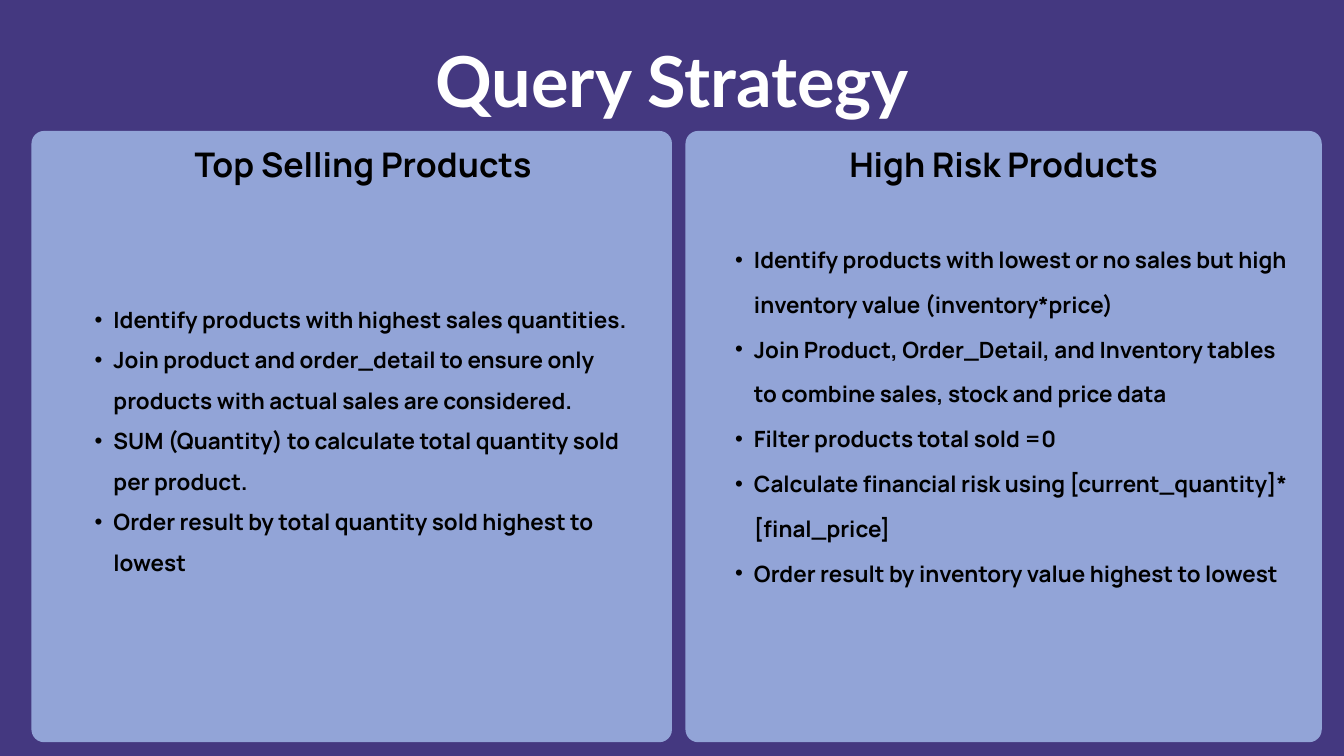
from dataclasses import dataclass

from lxml import etree
from pptx import Presentation
from pptx import util as u
from pptx.dml.color import RGBColor
from pptx.enum import shapes, text
from pptx.oxml import ns


@dataclass(frozen=True)
class Theme:
    page: str = "443880"
    panel: str = "92A4D7"
    title: dict = None
    heading: dict = None
    body: dict = None


THEME = Theme(
    title={"name": "Lato", "size": u.Pt(75.3), "bold": True, "color": "FFFFFF"},
    heading={"name": "Manrope", "size": u.Pt(36.3), "bold": True, "color": "000000"},
    body={"name": "Manrope", "size": u.Pt(24), "bold": True, "color": "000000"},
)
CORNER = 0.48

PANELS = [
    {
        "area": (1.19, 4.95, 24.21, 23.11),
        "heading": "Top Selling Products",
        "heading_area": (5.44, 0.53, 14.2, 1.57),
        "list_area": (1.65, 6.1, 21.77, 10.49),
        "spacing": 43.4,
        "steps": [
            "Identify products with highest sales quantities.",
            "Join product and order_detail to ensure only products with actual sales are considered.",
            "SUM (Quantity) to calculate total quantity sold per product.",
            "Order result by total quantity sold highest to lowest",
        ],
    },
    {
        "area": (25.91, 4.95, 24.05, 23.11),
        "heading": "High Risk Products",
        "heading_area": (5.92, 0.53, 12.22, 1.57),
        "list_area": (1.14, 3.68, 21.77, 15.14),
        "spacing": 48,
        "steps": [
            "Identify products with lowest or no sales but high inventory value (inventory*price)",
            "Join Product, Order_Detail, and Inventory tables to combine sales, stock and price data",
            "Filter products total sold =0",
            "Calculate financial risk using [current_quantity]* [final_price]",
            "Order result by inventory value highest to lowest",
        ],
    },
]


def lengths(area):
    return [u.Cm(value) for value in area]


def inside(outer, inner):
    return (outer[0] + inner[0], outer[1] + inner[1], *inner[2:])


def add_bullet(para):
    props = para._p.get_or_add_pPr()
    props.set("marL", str(u.Cm(1.45)))
    props.set("indent", str(u.Cm(-0.71)))
    font = etree.SubElement(props, ns.qn("a:buFont"))
    font.set("typeface", "Arial")
    mark = etree.SubElement(props, ns.qn("a:buChar"))
    mark.set("char", "•")


def add_text(page, area, lines, style, spacing, bulleted=False):
    box = page.shapes.add_textbox(*lengths(area))
    frame = box.text_frame
    settings = {
        "word_wrap": True,
        "auto_size": text.MSO_AUTO_SIZE.SHAPE_TO_FIT_TEXT,
        "margin_left": 0,
        "margin_top": 0,
        "margin_right": 0,
        "margin_bottom": 0,
    }
    for name, value in settings.items():
        setattr(frame, name, value)
    for index, line in enumerate(lines):
        para = frame.add_paragraph() if index else frame.paragraphs[0]
        para.line_spacing = u.Pt(spacing)
        if bulleted:
            para.level = 1
            para.alignment = text.PP_ALIGN.LEFT
            add_bullet(para)
        else:
            para.alignment = text.PP_ALIGN.CENTER
        span = para.add_run()
        span.text = line
        for name, value in style.items():
            if name == "color":
                span.font.color.rgb = RGBColor.from_string(value)
            else:
                setattr(span.font, name, value)


def add_title(page, area):
    add_text(page, area, ["Query Strategy"], THEME.title, 105.5)


def add_panel(page, area, panel):
    card = page.shapes.add_shape(shapes.MSO_SHAPE.ROUNDED_RECTANGLE, *lengths(area))
    card.adjustments[0] = CORNER / min(area[2:])
    card.shadow.inherit = False
    card.fill.solid()
    card.fill.fore_color.rgb = RGBColor.from_string(THEME.panel)
    card.line.fill.background()
    add_text(page, inside(area, panel["heading_area"]), [panel["heading"]], THEME.heading, 42.5)
    add_text(page, inside(area, panel["list_area"]), panel["steps"], THEME.body,
             panel["spacing"], bulleted=True)


def main():
    deck = Presentation()
    deck.slide_width, deck.slide_height = lengths((50.8, 28.58))
    page = deck.slides.add_slide(deck.slide_layouts[6])
    page.background.fill.solid()
    page.background.fill.fore_color.rgb = RGBColor.from_string(THEME.page)
    for panel in PANELS:
        add_panel(page, panel["area"], panel)
    add_title(page, (15.62, 0.86, 19.58, 3.53))
    deck.save("out.pptx")


if __name__ == "__main__":
    main()
